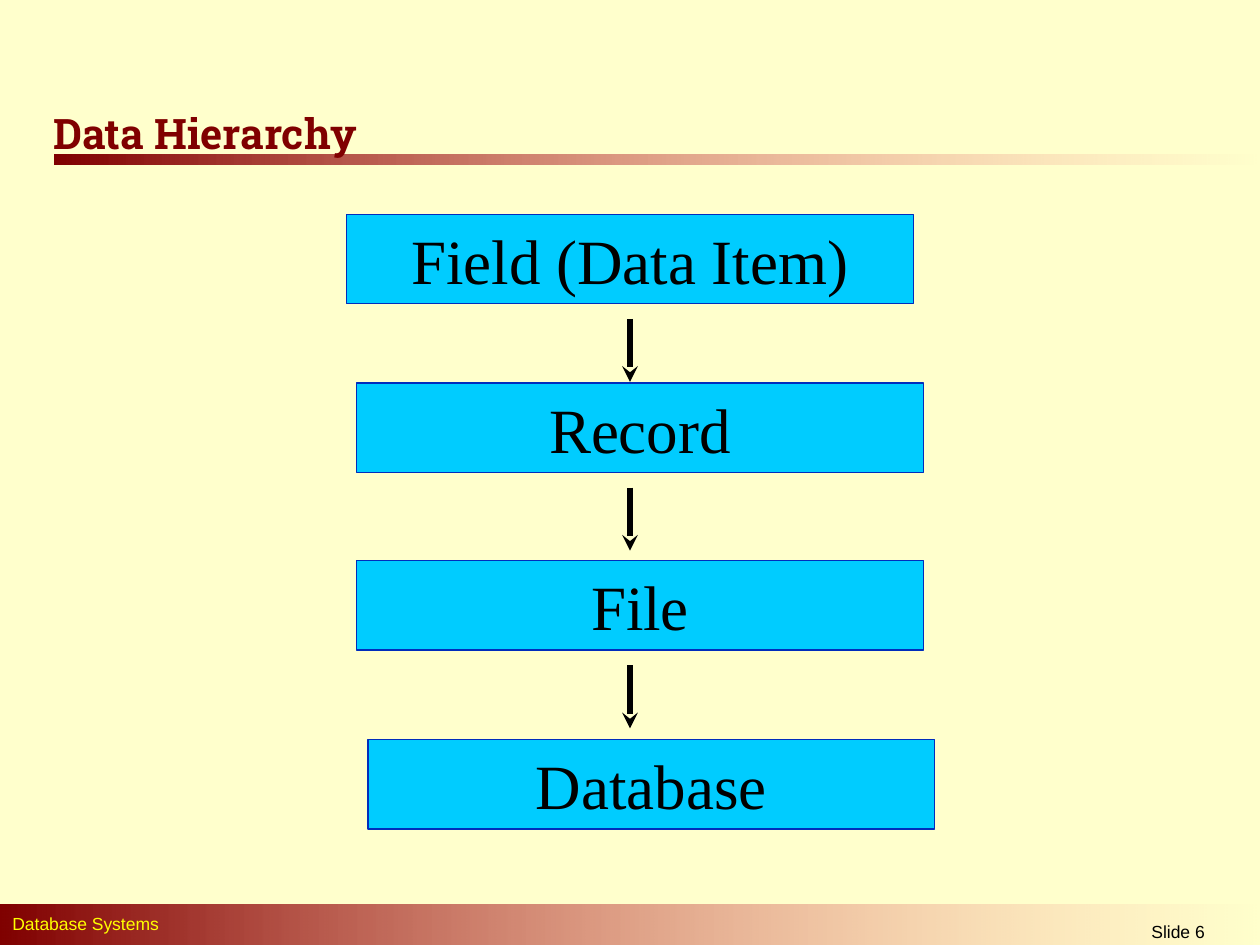
from lxml.etree import SubElement
from pptx import Presentation
from pptx.dml.color import RGBColor
from pptx.enum.shapes import MSO_CONNECTOR, MSO_SHAPE
from pptx.enum.text import MSO_ANCHOR, PP_ALIGN
from pptx.oxml.ns import qn
from pptx.util import Inches, Pt

MAROON, BLACK = "800000", "000000"


def color(hex_value):
    return RGBColor.from_string(hex_value)


def set_text(sp, text, size, font, hex_value, align=PP_ALIGN.LEFT,
             anchor=MSO_ANCHOR.TOP, bold=False):
    tf = sp.text_frame
    tf.text = text
    tf.word_wrap = True
    tf.vertical_anchor = anchor
    p = tf.paragraphs[0]
    p.alignment = align
    r = p.runs[0]
    r.font.size = Pt(size)
    r.font.name = font
    r.font.bold = bold
    r.font.color.rgb = color(hex_value)


def add_label(s, left, top, width, height, *text_args, **text_format):
    sp = s.shapes.add_textbox(Inches(left), Inches(top), Inches(width), Inches(height))
    set_text(sp, *text_args, **text_format)


def add_rect(s, left, top, width, height):
    sp = s.shapes.add_shape(MSO_SHAPE.RECTANGLE, Inches(left), Inches(top),
                            Inches(width), Inches(height))
    sp.shadow.inherit = False
    return sp


def add_fading_bar(s, left, top, width, height):
    sp = add_rect(s, left, top, width, height)
    sp.line.fill.background()
    sp.fill.gradient()
    sp.fill.gradient_angle = 0
    start, end = sp.fill.gradient_stops
    start.position, end.position = 0, 1
    start.color.rgb = color(MAROON)
    end.color.rgb = color("FF8585")
    # The right end is fully transparent
    end_color = sp.fill._xPr.findall(".//" + qn("a:srgbClr"))[-1]
    SubElement(end_color, qn("a:alpha"), val="0")


def add_level(s, left, top, text):
    sp = add_rect(s, left, top, 4.5, 0.71)
    sp.fill.solid()
    sp.fill.fore_color.rgb = color("00CCFF")
    sp.line.color.rgb = color("002DBC")
    sp.line.width = Pt(0.75)
    set_text(sp, text, 36, "Times New Roman", BLACK,
             align=PP_ALIGN.CENTER, anchor=MSO_ANCHOR.MIDDLE)


def add_down_arrow(s, x, top, length):
    cn = s.shapes.add_connector(MSO_CONNECTOR.STRAIGHT, Inches(x), Inches(top),
                                Inches(x), Inches(top + length))
    cn.line.color.rgb = color(BLACK)
    cn.line.width = Pt(3)
    SubElement(cn.line._get_or_add_ln(), qn("a:tailEnd"), type="stealth")
    SubElement(cn._element.spPr, qn("a:effectLst"))


def main():
    prs = Presentation()
    prs.slide_width, prs.slide_height = Inches(10), Inches(7.5)
    s = prs.slides.add_slide(prs.slide_layouts[6])
    s.background.fill.solid()
    s.background.fill.fore_color.rgb = color("FFFFCC")

    # Title rule and footer
    add_fading_bar(s, 0.43, 1.23, 9.57, 0.08)
    add_fading_bar(s, 0, 7.18, 10, 0.32)
    add_label(s, 0, 7.2, 6.42, 0.27, "Database Systems", 10, "Arial", "FFFF00")
    add_label(s, 8.31, 7.26, 2.08, 0.24, "Slide 6", 10, "Arial", BLACK,
              align=PP_ALIGN.CENTER)

    # Title
    add_label(s, 0.33, 0.76, 3.33, 0.58, "Data Hierarchy", 24, "Roboto Slab", MAROON,
              anchor=MSO_ANCHOR.MIDDLE, bold=True)

    # Hierarchy levels, smallest unit first
    levels = [(2.75, 1.7, "Field (Data Item)"), (2.83, 3.04, "Record"),
              (2.83, 4.45, "File"), (2.92, 5.87, "Database")]
    for left, top, text in levels:
        add_level(s, left, top, text)

    # An arrow starts a little below every level but the last
    for _, top, _ in levels[:-1]:
        add_down_arrow(s, 5, top + 0.83, 0.5)

    prs.save("out.pptx")


if __name__ == "__main__":
    main()
